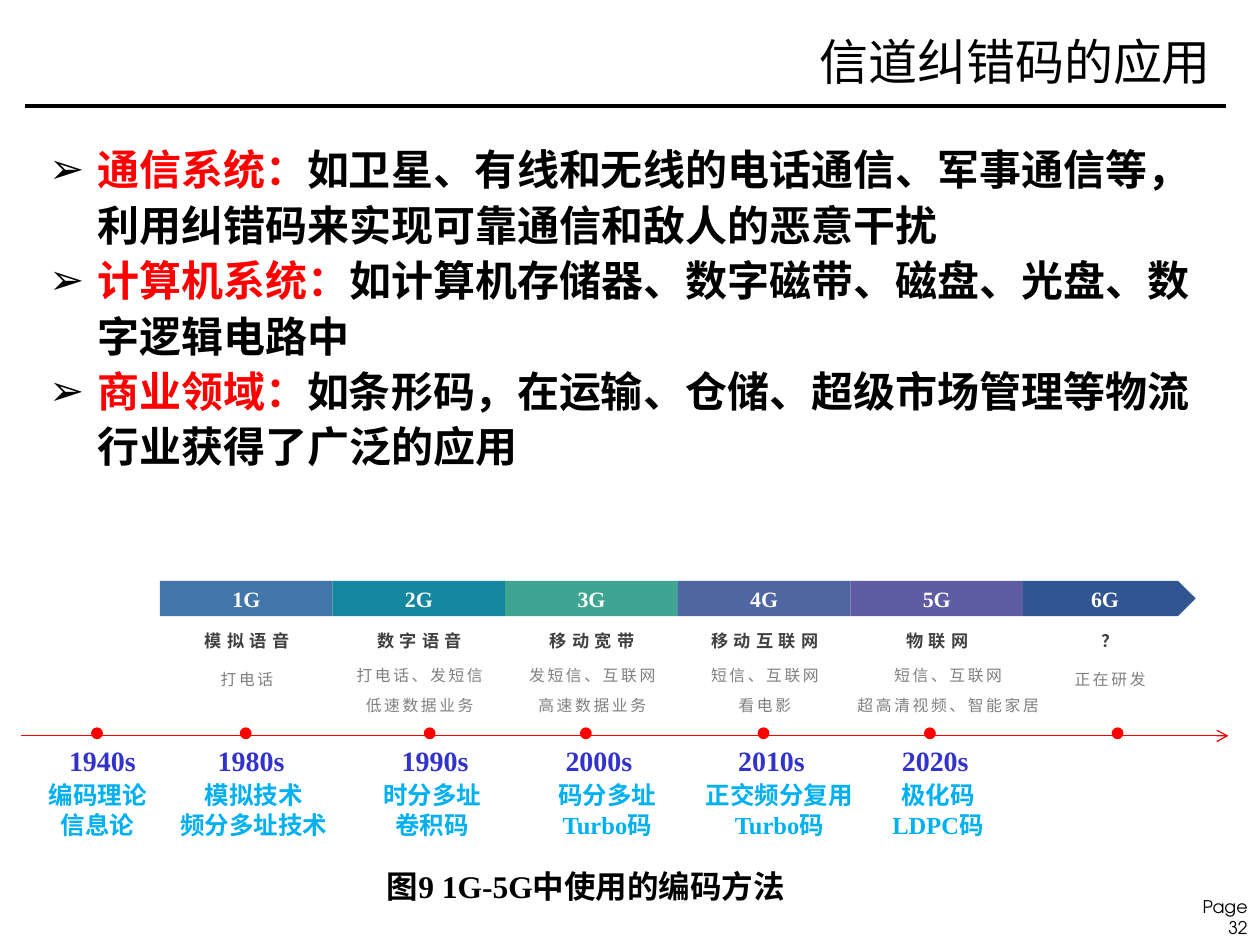
from lxml.etree import SubElement as Sub
from pptx import Presentation
from pptx.dml.color import RGBColor
from pptx.enum.shapes import MSO_CONNECTOR as Link, MSO_SHAPE as Geo
from pptx.enum.text import MSO_ANCHOR as Anchor, MSO_AUTO_SIZE as Fit, PP_ALIGN as Align
from pptx.oxml.ns import qn
from pptx.util import Inches, Pt

SANS, SERIF = "Noto Sans CJK SC", "Times New Roman"
TIGHT = (0.07, 0.04, 0.07, 0.04)
WIDE = (0.1, 0.05, 0.1, 0.05)


def rgb(code):
    return RGBColor.from_string(code)


def put(item, vals):
    for key, val in vals.items():
        setattr(item, key, val)


class Deck:
    """Holds the text styles and the current slide."""

    def __init__(self):
        self.prs = Presentation()
        put(self.prs, {"slide_width": Inches(10), "slide_height": Inches(7.5)})
        self.slide = self.prs.slides.add_slide(self.prs.slide_layouts[1])
        self.style = {
            "page": ("TeX Gyre Adventor", 10, "000000", False, 0),
            "title": (SANS, 28, "000000", False, 0),
            "body": (SANS, 24, "000000", True, 0),
            "key": (SANS, 24, "FF0000", True, 0),
            "bar": (SERIF, 12.5, "FFFFFF", True, 0),
            "head": ("Arial", 9.8, "404040", True, 3),
            "note": ("Arial", 9, "808080", False, 1.5),
            "year": (SERIF, 16, "3333CC", True, 0),
            "code": (SANS, 14, "00B0F0", True, 0),
            "cap": (SANS, 18, "000000", True, 0),
        }

    def run(self, para, text, style, face=None):
        font, size, hue, bold, gap = self.style[style]
        run = para.add_run()
        run.text = text
        put(run.font, {"name": face or font, "size": Pt(size), "bold": bold})
        run.font.color.rgb = rgb(hue)
        props = run.font._element
        if gap:
            props.set("spc", str(int(gap * 100)))
        Sub(props, qn("a:ea")).set("typeface", SANS)

    def frame(self, shape, pads=WIDE, anchor=Anchor.TOP):
        frame = shape.text_frame
        sides = ("margin_left", "margin_top", "margin_right", "margin_bottom")
        put(frame, dict(zip(sides, map(Inches, pads))))
        put(frame, {"word_wrap": True, "auto_size": Fit.NONE, "vertical_anchor": anchor})
        return frame

    def fill(self, frame, lines, style, **form):
        for num, line in enumerate(lines):
            para = frame.add_paragraph() if num else frame.paragraphs[0]
            put(para, form)
            for part in line.split("|"):
                mixed = style in ("code", "cap") and part[0].isascii()
                self.run(para, part, style, SERIF if mixed else None)

    def text(self, at, lines, style, pads=WIDE, anchor=Anchor.TOP, **form):
        box = self.slide.shapes.add_textbox(*map(Inches, at))
        self.fill(self.frame(box, pads, anchor), lines, style, **form)

    def hold(self, index, at):
        box = self.slide.placeholders[index]
        put(box, dict(zip(("left", "top", "width", "height"), map(Inches, at))))
        return box

    def title(self, at, text):
        frame = self.frame(self.hold(0, at), anchor=Anchor.MIDDLE)
        self.fill(frame, [text], "title", alignment=Align.RIGHT)

    def list(self, at, items):
        frame = self.frame(self.hold(1, at), (0.1, 0.08, 0.1, 0.05))
        for num, (key, rest) in enumerate(items):
            para = frame.add_paragraph() if num else frame.paragraphs[0]
            props = para._p.get_or_add_pPr()
            props.set("marL", str(Inches(0.38)))
            props.set("indent", str(-Inches(0.38)))
            Sub(Sub(props, qn("a:buClr")), qn("a:srgbClr")).set("val", "000000")
            Sub(props, qn("a:buChar")).set("char", "➢")
            put(para, {"line_spacing": Pt(31.7), "space_before": Pt(0)})
            self.run(para, key, "key")
            self.run(para, rest, "body")

    def shape(self, geo, at, hue, edge=False):
        shape = self.slide.shapes.add_shape(geo, *map(Inches, at))
        shape.shadow.inherit = False
        shape.fill.solid()
        shape.fill.fore_color.rgb = rgb(hue)
        if edge:
            shape.line.color.rgb = rgb(hue)
            shape.line.width = Pt(1)
        else:
            shape.line.fill.background()
        return shape

    def bar(self, geo, at, hue, text):
        frame = self.frame(self.shape(geo, at, hue), TIGHT)
        self.fill(frame, [text], "bar", alignment=Align.CENTER)

    def line(self, left, right, y, hue, width, arrow=False):
        ends = map(Inches, (left, y, right, y))
        line = self.slide.shapes.add_connector(Link.STRAIGHT, *ends)
        line.line.color.rgb = rgb(hue)
        line.line.width = Pt(width)
        if arrow:
            Sub(line.line._get_or_add_ln(), qn("a:tailEnd")).set("type", "arrow")
        Sub(line._element.spPr, qn("a:effectLst"))


ITEMS = [
    ("通信系统：", "如卫星、有线和无线的电话通信、军事通信等，利用纠错码来实现可靠通信和敌人的恶意干扰"),
    ("计算机系统：", "如计算机存储器、数字磁带、磁盘、光盘、数字逻辑电路中"),
    ("商业领域：", "如条形码，在运输、仓储、超级市场管理等物流行业获得了广泛的应用"),
]
GENS = [
    ("1G", "4276AA", "模拟语音", ["打电话"]),
    ("2G", "15889F", "数字语音", ["打电话、发短信", "低速数据业务"]),
    ("3G", "3FA592", "移动宽带", ["发短信、互联网", "高速数据业务"]),
    ("4G", "5066A3", "移动互联网", ["短信、互联网", "看电影"]),
    ("5G", "5E5CA2", "物联网", ["短信、互联网", "超高清视频、智能家居"]),
    ("6G", "305590", "？", ["正在研发"]),
]
YEARS = [
    ("1940s", 0.45, 0.28, 0.99, ["编码理论", "信息论"]),
    ("1980s", 1.63, 1.29, 1.45, ["模拟技术", "频分多址技术"]),
    ("1990s", 3.09, 2.9, 1.06, ["时分多址", "卷积码"]),
    ("2000s", 4.39, 4.26, 1.12, ["码分多址", "Turbo|码"]),
    ("2010s", 5.76, 5.39, 1.59, ["正交频分复用", "Turbo|码"]),
    ("2020s", 7.06, 6.89, 1.11, ["极化码", "LDPC|码"]),
]
DOTS = (0.73, 1.91, 3.37, 4.61, 6.02, 7.34, 8.83)


def main():
    deck = Deck()
    mid = {"alignment": Align.CENTER}
    deck.text((9.2, 7.06, 0.8, 0.26), ["Page 32"], "page",
              (0.3, 0.05, 0.1, 0.05), alignment=Align.RIGHT)
    deck.line(0.2, 9.73, 0.84, "000000", 2)
    deck.title((4.77, 0.11, 4.94, 0.75), "信道纠错码的应用")
    deck.list((0.29, 1.02, 9.35, 2.77), ITEMS)

    step = 1.37
    for num, (gen, hue, head, notes) in enumerate(GENS):
        left = 1.27 + num * step
        geo = Geo.PENTAGON if gen == "6G" else Geo.RECTANGLE
        deck.bar(geo, (left, 4.61, step, 0.28), hue, gen)
        deck.text((left + 0.1, 4.93, 1.18, 0.28), [head], "head", TIGHT,
                  Anchor.BOTTOM, line_spacing=Pt(14), **mid)
        spot, wide = (6.66, 1.73) if gen == "5G" else (left + 0.1, 1.18)
        pitch = 11 if len(notes) > 1 else 13.2
        deck.text((spot, 5.24, wide, 1.11), notes, "note", TIGHT,
                  line_spacing=Pt(pitch), space_after=Pt(6), **mid)

    deck.line(0.17, 9.75, 5.84, "FF0000", 0.75, True)
    for left in DOTS:
        deck.shape(Geo.OVAL, (left, 5.78, 0.08, 0.08), "FF0000", True)
    for year, spot, left, wide, codes in YEARS:
        deck.text((spot, 5.85, 0.87, 0.37), [year], "year")
        deck.text((left, 6.14, wide, 0.57), codes, "code", line_spacing=Pt(17.1), **mid)
    deck.text((2.92, 6.81, 3.57, 0.4), ["图|9 1G-5G中使用的编码方法"], "cap",
              (0.15, 0.05, 0.1, 0.05), line_spacing=Pt(23))
    deck.prs.save("out.pptx")


if __name__ == "__main__":
    main()
